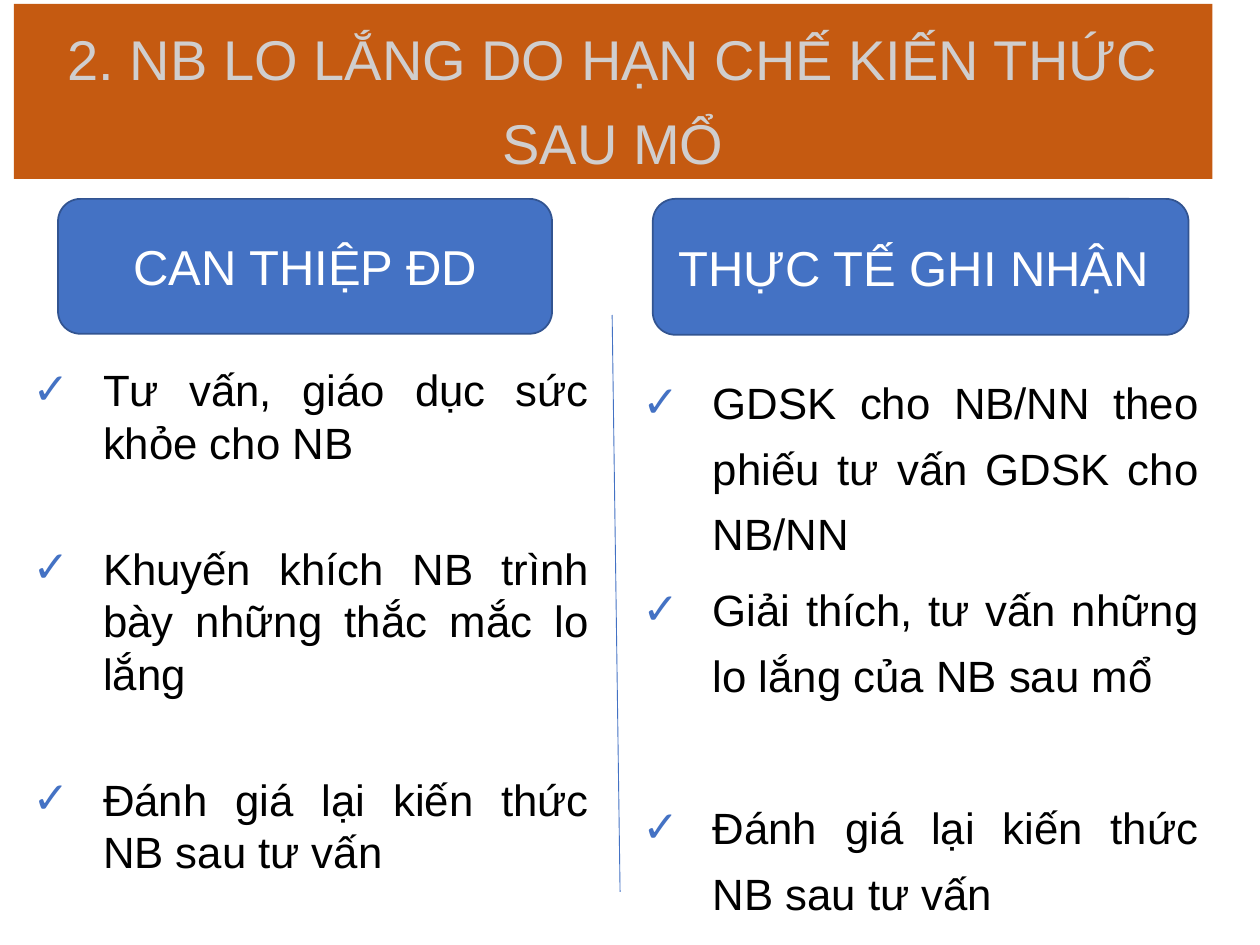
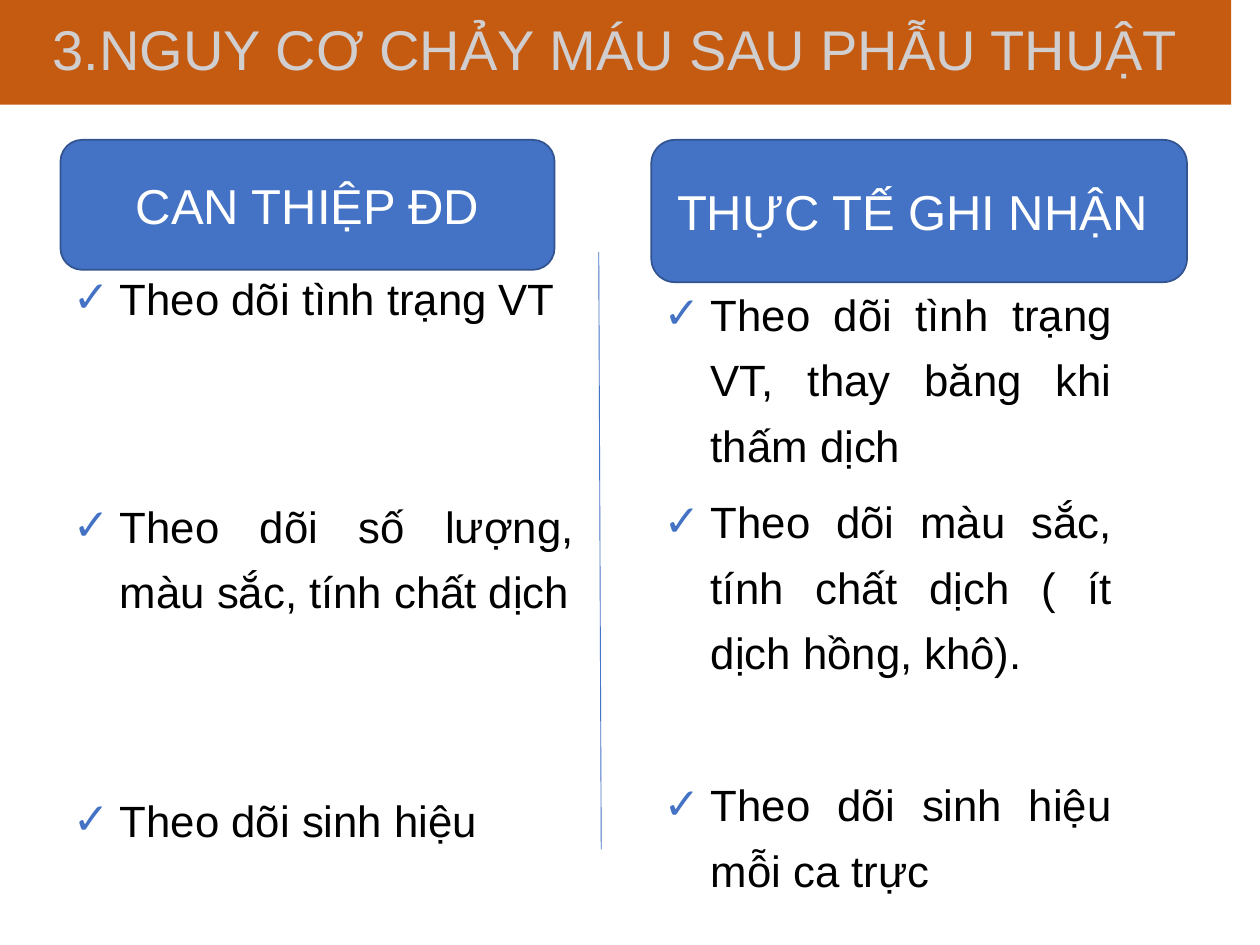
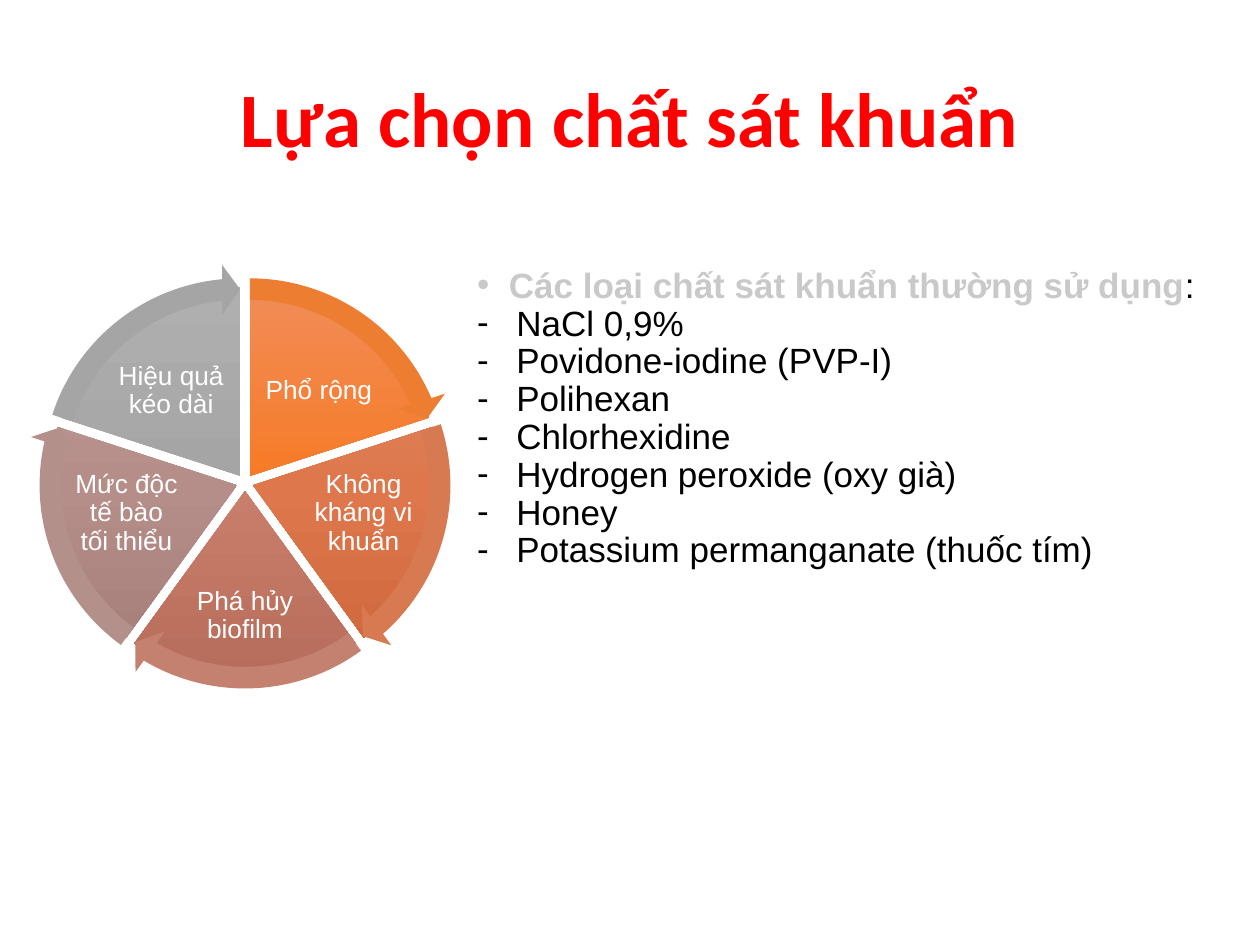
from copy import deepcopy
from math import cos, radians, sin

from lxml import etree
from pptx import Presentation
from pptx import util as u
from pptx.dml.color import RGBColor
from pptx.enum import shapes, text
from pptx.oxml.ns import qn

Cm, Pt = u.Cm, u.Pt
SHAPE, ALIGN = shapes.MSO_SHAPE, text.PP_ALIGN
MID = text.MSO_ANCHOR.MIDDLE

HUES = {
    "band": "C55A11", "pale": "D0CECE", "blue": "4472C4", "edge": "325491",
    "white": "FFFFFF", "black": "000000", "red": "FF0000", "mute": "C9C9C9",
}

# Wheel: label, gradient stops, arrow colour
PARTS = [
    ("Phổ rộng", ("F18C57", "F67B28", "E56C19"), "ED7D31"),
    ("Không kháng vi khuẩn", ("DD8A6A", "DE774B", "CD673B"), "D87A51"),
    ("Phá hủy biofilm", ("CB8F81", "C97E6B", "B76D5B"), "C48170"),
    ("Mức độc tế bào tối thiểu", ("BC9C99", "B68E89", "A47C78"), "B4908B"),
    ("Hiệu quả kéo dài", ("AFAFAF", "A5A5A5", "939393"), "A5A5A5"),
]
# Label centre from the hub, then label size
SPOTS = [(1.49, -1.85, 2.44, 1.63), (2.39, 0.62, 2.26, 1.8), (0, 2.69, 2.16, 1.98)]
SPOTS += [(-x, y, w, h) for x, y, w, h in SPOTS[1::-1]]

AGENTS = ["NaCl 0,9%", "Povidone-iodine (PVP-I)", "Polihexan", "Chlorhexidine",
          "Hydrogen peroxide (oxy già)", "Honey", "Potassium permanganate (thuốc tím)"]


def rgb(hue):
    return RGBColor.from_string(HUES.get(hue, hue))


def style(para, size, hue, face="Arial", bold=False):
    for run in para.runs:
        font = run.font
        font.name, font.size, font.bold = face, Pt(size), bold
        font.color.rgb = rgb(hue)


def bullet(para, mark, dent, hue):
    props = para._p.get_or_add_pPr()
    props.set("marL", str(Cm(dent)))
    props.set("indent", str(-Cm(dent)))
    tint = etree.SubElement(props, qn("a:buClr"))
    etree.SubElement(tint, qn("a:srgbClr")).set("val", HUES[hue])
    etree.SubElement(props, qn("a:buFont")).set("typeface", "Arial")
    etree.SubElement(props, qn("a:buChar")).set("char", mark)


def block(slide, kind, box, fill=None, line=None):
    shape = slide.shapes.add_shape(kind, *map(Cm, box))
    shape.shadow.inherit = False
    if fill:
        shape.fill.solid()
        shape.fill.fore_color.rgb = rgb(fill)
    if line:
        shape.line.color.rgb = rgb(line)
        shape.line.width = Pt(1)
    else:
        shape.line.fill.background()
    return shape


def frame(slide, box):
    tf = slide.shapes.add_textbox(*map(Cm, box)).text_frame
    tf.word_wrap = True
    return tf


def label(tf, words, size, hue, lead=1.0, **look):
    tf.text = words
    tf.vertical_anchor = MID
    para = tf.paragraphs[0]
    para.alignment, para.line_spacing = ALIGN.CENTER, lead
    style(para, size, hue, **look)


def band(slide, box, words, lead):
    label(block(slide, SHAPE.RECTANGLE, box, "band").text_frame, words, 32, "pale", lead)


def head(slide, box, words):
    shape = block(slide, SHAPE.ROUNDED_RECTANGLE, box, "blue", "edge")
    label(shape.text_frame, words, 28, "white")


def checks(slide, box, items, dent, lead):
    """Ticked list; each item is (words, number of free lines above it)."""
    tf = frame(slide, box)
    for i, (words, free) in enumerate(items):
        para = tf.add_paragraph() if i else tf.paragraphs[0]
        para.text = words
        bullet(para, "✓", dent, "blue")
        para.alignment, para.line_spacing = ALIGN.JUSTIFY, lead
        if i:
            para.space_before = Pt(6 + free * (30 * lead + 6))
        style(para, 25, "black")


def rule(slide, ends):
    line = slide.shapes.add_connector(shapes.MSO_CONNECTOR.STRAIGHT, *map(Cm, ends))
    line.line.color.rgb = rgb("blue")
    line.line.width = Pt(0.5)
    etree.SubElement(line._element.spPr, qn("a:effectLst"))


def versus(slide, title, ends, heads, lists):
    """Title band over two headed lists with a rule between them."""
    band(slide, *title)
    rule(slide, ends)
    for args in lists:
        checks(slide, *args)
    for box, words in zip(heads, ("CAN THIỆP ĐD", "THỰC TẾ GHI NHẬN ")):
        head(slide, box, words)


def shade(shape, stops):
    shape.fill.gradient()
    shape.fill.gradient_angle = 270
    row = shape._element.spPr.find(".//" + qn("a:gsLst"))
    row.insert(1, deepcopy(row[0]))
    for i, (stop, hue) in enumerate(zip(shape.fill.gradient_stops, stops)):
        stop.color.rgb = rgb(hue)
        stop.position = i / 2


def wheel(slide, box):
    left, top, wide, high = box
    hubx, huby = left + wide / 2, top + high / 2
    turn, full = 43.2, 216  # 72 and 360 degrees in adjustment units

    def around(i, size):
        mid = radians(72 * i - 54)
        return (hubx + 0.17 * cos(mid) - size / 2,
                huby + 0.17 * sin(mid) - size / 2, size, size)

    # Slices and labels
    for i, (words, stops, _) in enumerate(PARTS):
        pie = block(slide, SHAPE.PIE, around(i, 7.6))
        pie.adjustments[0] = (162 + turn * i) % full
        pie.adjustments[1] = (162 + turn * (i + 1)) % full
        shade(pie, stops)
        x, y, w, h = SPOTS[i]
        tf = frame(slide, (hubx + x - w / 2, huby + y - h / 2, w, h))
        tf.margin_left = tf.margin_right = tf.margin_top = tf.margin_bottom = Cm(0.05)
        label(tf, words, 15, "white", 0.9)

    # Rim arrows
    for i, (_, _, hue) in enumerate(PARTS):
        arrow = block(slide, SHAPE.CIRCULAR_ARROW, around(i, 8.53), hue)
        tip, tail = ((a + turn * i) % full for a in (201.92, 162))
        for n, value in enumerate((0.051, 3.275, tip, tail, 0.059)):
            arrow.adjustments[n] = value


def agents(slide, box):
    tf = frame(slide, box)
    lead = tf.paragraphs[0]
    lead.text = "Các loại chất sát khuẩn thường sử dụng"
    bullet(lead, "•", 0.64, "mute")
    style(lead, 20, "mute", bold=True)
    colon = lead.add_run()
    colon.text = ":"
    colon.font.name, colon.font.size = "Arial", Pt(20)
    colon.font.color.rgb = rgb("black")
    for name in AGENTS:
        para = tf.add_paragraph()
        para.text = name
        bullet(para, "-", 0.79, "black")
        style(para, 20, "black")
    for para in tf.paragraphs:
        para.line_spacing = 0.9


def main():
    deck = Presentation()
    deck.slide_width, deck.slide_height = Cm(25.4), Cm(19.05)
    fear, bleed, clean = (deck.slides.add_slide(deck.slide_layouts[6]) for _ in range(3))

    # Anxiety after surgery
    versus(
        fear,
        ((0.28, 0.08, 24.16, 3.53), "2. NB LO LẮNG DO HẠN CHẾ KIẾN THỨC SAU MỔ", 1.25),
        (12.34, 6.35, 12.5, 17.98),
        [(1.17, 4.01, 9.96, 2.72), (13.16, 4.01, 10.8, 2.74)],
        [((0.41, 7.19, 11.71, 10.72),
          [("Tư vấn, giáo dục sức khỏe cho NB", 0),
           ("Khuyến khích NB trình bày những thắc mắc lo lắng", 1),
           ("Đánh giá lại kiến thức NB sau tư vấn", 1)], 1.42, 1.0),
         ((12.7, 7.19, 11.71, 11.58),
          [("GDSK cho NB/NN theo phiếu tư vấn GDSK cho NB/NN", 0),
           ("Giải thích, tư vấn những lo lắng của NB sau mổ", 0),
           ("Đánh giá lại kiến thức NB sau tư vấn", 1)], 1.42, 1.25)])

    # Bleeding risk
    versus(
        bleed,
        ((0, 0, 24.82, 2.11), "3.NGUY CƠ CHẢY MÁU SAU PHẪU THUẬT", 0.9),
        (12.07, 5.08, 12.12, 17.12),
        [(1.22, 2.82, 9.96, 2.62), (13.13, 2.82, 10.8, 2.87)],
        [((1.22, 5.08, 10.59, 13.9),
          [("Theo dõi tình trạng VT", 0),
           ("Theo dõi số lượng, màu sắc, tính chất dịch", 2),
           ("Theo dõi sinh hiệu", 2)], 0.95, 1.25),
         ((13.13, 5.41, 9.53, 13.6),
          [("Theo dõi tình trạng VT, thay băng khi thấm dịch", 0),
           ("Theo dõi màu sắc, tính chất dịch ( ít dịch hồng, khô).", 0),
           ("Theo dõi sinh hiệu mỗi ca trực", 1)], 0.95, 1.25)])

    # Choice of antiseptic
    label(frame(clean, (1.27, 0.76, 22.86, 3.18)), "Lựa chọn chất sát khuẩn",
          44, "red", face="Calibri", bold=True)
    wheel(clean, (0.64, 5.43, 8.6, 8.6))
    agents(clean, (9.37, 5.28, 15.9, 13.54))

    deck.save("out.pptx")


if __name__ == "__main__":
    main()
